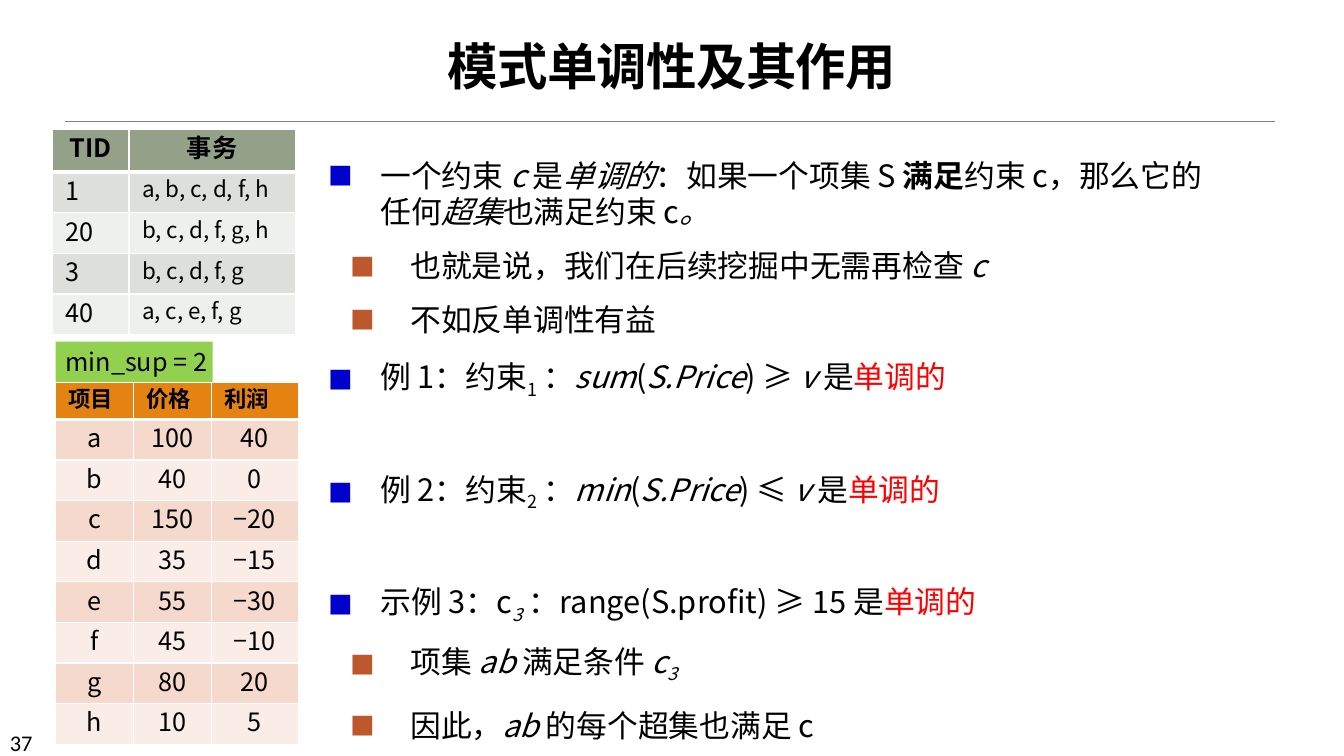
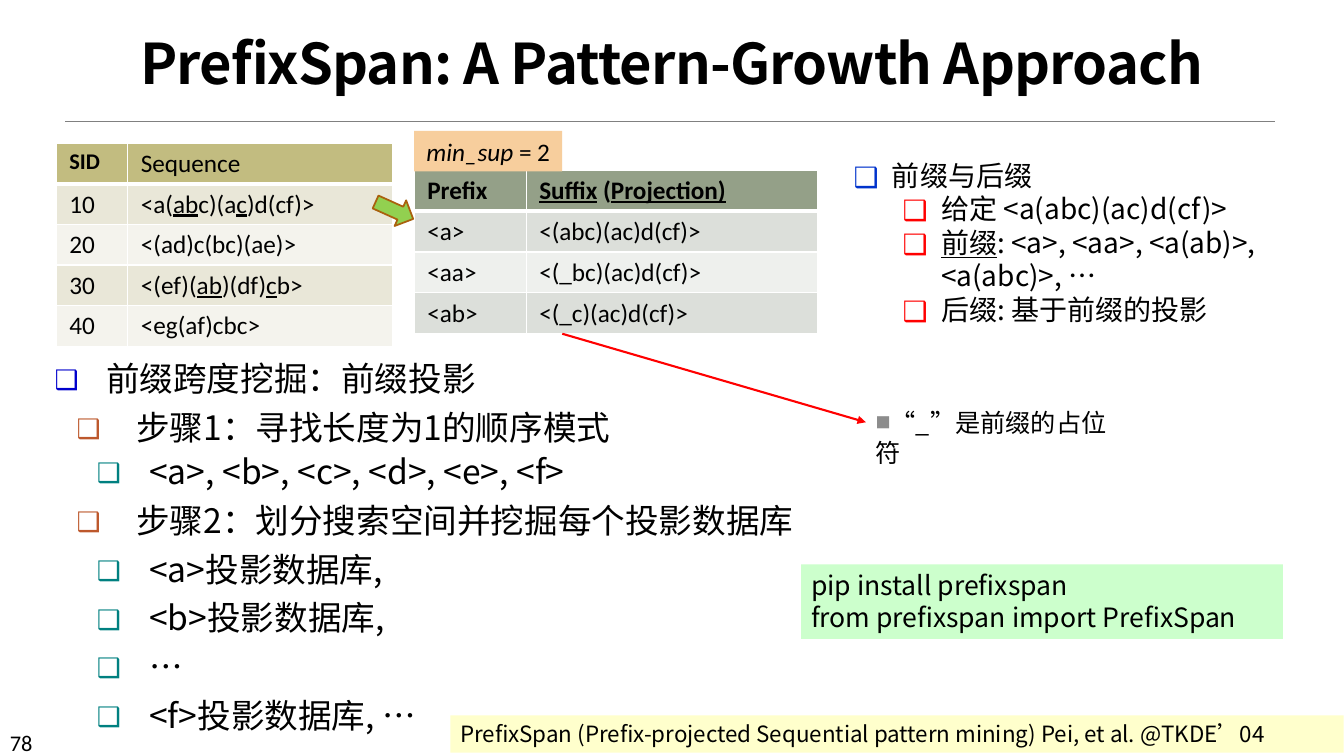
"""Two lecture slides on monotone constraints and prefix-projected pattern mining."""
from dataclasses import dataclass
from typing import Optional, Union

from lxml import etree
from pptx import Presentation
from pptx.dml.color import RGBColor
from pptx.enum.shapes import MSO_CONNECTOR, MSO_SHAPE
from pptx.enum.text import MSO_ANCHOR, MSO_AUTO_SIZE, PP_ALIGN
from pptx.oxml.ns import qn
from pptx.util import Cm, Pt

STRAIGHT = MSO_CONNECTOR.STRAIGHT
RIGHT_ARROW = MSO_SHAPE.RIGHT_ARROW
TOP, BOTTOM = MSO_ANCHOR.TOP, MSO_ANCHOR.BOTTOM
FIXED = MSO_AUTO_SIZE.NONE
LEFT, CENTER, JUSTIFY = PP_ALIGN.LEFT, PP_ALIGN.CENTER, PP_ALIGN.JUSTIFY

BLACK = RGBColor(0x00, 0x00, 0x00)
WHITE = RGBColor(0xFF, 0xFF, 0xFF)
RED = RGBColor(0xFF, 0x00, 0x00)
RULE_GREY = RGBColor(0x80, 0x80, 0x80)
NOTE_GREY = RGBColor(0x8C, 0x8C, 0x8C)
BLUE = RGBColor(0x00, 0x00, 0xCC)
ROYAL = RGBColor(0x00, 0x33, 0xCC)
RUST = RGBColor(0xBD, 0x58, 0x2C)
TEAL = RGBColor(0x00, 0x80, 0x80)
GREEN = RGBColor(0x92, 0xD0, 0x50)
ARROW_EDGE = RGBColor(0xA9, 0x61, 0x0D)
PEACH = RGBColor(0xF7, 0xCE, 0x9D)
MINT = RGBColor(0xCC, 0xFF, 0xCC)
CREAM = RGBColor(0xFF, 0xFF, 0xCC)
SAGE = RGBColor(0x94, 0xA0, 0x88)
SAGE_BANDS = (RGBColor(0xDC, 0xDF, 0xDA), RGBColor(0xEE, 0xF0, 0xED))
ORANGE = RGBColor(0xE4, 0x83, 0x12)
ORANGE_BANDS = (RGBColor(0xF5, 0xD9, 0xCC), RGBColor(0xFA, 0xED, 0xE7))
KHAKI = RGBColor(0xC2, 0xBC, 0x80)
KHAKI_BANDS = (RGBColor(0xE9, 0xE7, 0xD8), RGBColor(0xF4, 0xF3, 0xED))

SANS, CALIBRI, TIMES = "Noto Sans CJK SC", "Calibri", "Times New Roman"
LINE_FACTOR = 1.2


@dataclass(frozen=True)
class Run:
    """A stretch of text with one look."""
    text: str
    italic: bool = False
    bold: bool = False
    underline: bool = False
    subscript: bool = False
    color: RGBColor = BLACK
    font: Optional[str] = None
    size: Optional[float] = None


@dataclass(frozen=True)
class Bullet:
    """A list marker with its level and indents in centimetres."""
    char: str
    color: RGBColor
    level: int = 0
    margin: float = 0
    hanging: float = 0
    percent: int = 80


@dataclass(frozen=True)
class Para:
    """A paragraph with its runs and spacing in points."""
    runs: tuple[Run, ...]
    bullet: Optional[Bullet] = None
    before: float = 0
    after: float = 0
    align: PP_ALIGN = LEFT


@dataclass(frozen=True)
class Box:
    """A rectangle in centimetres."""
    left: float
    top: float
    width: float
    height: float

    def lengths(self) -> tuple[Cm, Cm, Cm, Cm]:
        """Return the four lengths in the order that shapes take them."""
        return Cm(self.left), Cm(self.top), Cm(self.width), Cm(self.height)


Cell = Union[str, tuple[Run, ...]]


@dataclass(frozen=True)
class Grid:
    """A table with a header row and two alternating bands."""
    left: float
    top: float
    widths: tuple[float, ...]
    header_height: float
    row_height: float
    header_fill: RGBColor
    bands: tuple[RGBColor, RGBColor]
    rows: tuple[tuple[Cell, ...], ...]
    font: str
    header_size: float
    sizes: tuple[float, ...]
    header_align: PP_ALIGN = LEFT
    align: PP_ALIGN = LEFT


def line(*runs: Union[str, Run], **options) -> Para:
    """Build a paragraph from plain strings and runs."""
    return Para(tuple(Run(r) if isinstance(r, str) else r for r in runs), **options)


def add_run(paragraph, run: Run, font: str, size: float) -> None:
    """Append one formatted run."""
    added = paragraph.add_run()
    added.text = run.text
    added.font.size = Pt(run.size or size)
    added.font.name = run.font or font
    added.font.bold = run.bold
    added.font.italic = run.italic
    added.font.underline = run.underline
    added.font.color.rgb = run.color
    properties = added.font._element
    etree.SubElement(properties, qn("a:ea")).set("typeface", SANS)
    if run.subscript:
        properties.set("baseline", "-25000")


def add_bullet(paragraph, bullet: Bullet) -> None:
    """Give a paragraph its marker and indents."""
    paragraph.level = bullet.level
    properties = paragraph._p.get_or_add_pPr()
    properties.set("marL", str(Cm(bullet.margin)))
    properties.set("indent", str(-Cm(bullet.hanging)))
    color = etree.SubElement(properties, qn("a:buClr"))
    etree.SubElement(color, qn("a:srgbClr")).set("val", str(bullet.color))
    etree.SubElement(properties, qn("a:buSzPct")).set("val", str(bullet.percent * 1000))
    etree.SubElement(properties, qn("a:buFont")).set("typeface", SANS)
    etree.SubElement(properties, qn("a:buChar")).set("char", bullet.char)


def fill_text(frame, paras: tuple[Para, ...], size: float, font: str = SANS) -> None:
    """Write paragraphs into an empty text frame."""
    for index, para in enumerate(paras):
        paragraph = frame.add_paragraph() if index else frame.paragraphs[0]
        if para.bullet:
            add_bullet(paragraph, para.bullet)
        paragraph.alignment = para.align
        paragraph.space_before = Pt(para.before if index else 0)
        paragraph.space_after = Pt(para.after)
        if font != CALIBRI:
            paragraph.line_spacing = Pt(round(size * LINE_FACTOR, 1))
        for run in para.runs:
            add_run(paragraph, run, font, size)


def add_label(slide, box: Box, paras: tuple[Para, ...], size: float,
              font: str = SANS, fill: Optional[RGBColor] = None):
    """Draw a wrapped text box, filled if a colour is given."""
    label = slide.shapes.add_textbox(*box.lengths())
    label.text_frame.word_wrap = True
    if fill is not None:
        label.fill.solid()
        label.fill.fore_color.rgb = fill
    fill_text(label.text_frame, paras, size, font)
    return label


def add_line(slide, start: tuple[float, float], end: tuple[float, float],
             color: RGBColor, width: float):
    """Draw a straight line without a shadow."""
    connector = slide.shapes.add_connector(STRAIGHT, *map(Cm, start + end))
    connector.line.color.rgb = color
    connector.line.width = Pt(width)
    etree.SubElement(connector._element.spPr, qn("a:effectLst"))
    return connector


def set_borders(cell, bottom: float) -> None:
    """Give a cell white borders, the lower one of its own width."""
    properties = cell._tc.get_or_add_tcPr()
    widths = {"lnL": 1, "lnR": 1, "lnT": 1, "lnB": bottom}
    for position, (side, width) in enumerate(widths.items()):
        border = etree.Element(qn(f"a:{side}"), w=str(Pt(width)))
        solid = etree.SubElement(border, qn("a:solidFill"))
        etree.SubElement(solid, qn("a:srgbClr")).set("val", str(WHITE))
        properties.insert(position, border)


def add_grid(slide, grid: Grid) -> None:
    """Draw a banded table."""
    heights = [grid.header_height] + [grid.row_height] * (len(grid.rows) - 1)
    box = Box(grid.left, grid.top, sum(grid.widths), sum(heights))
    table = slide.shapes.add_table(len(heights), len(grid.widths), *box.lengths()).table
    for column, width in zip(table.columns, grid.widths):
        column.width = Cm(width)
    for row, (height, contents) in enumerate(zip(heights, grid.rows)):
        table.rows[row].height = Cm(height)
        header = row == 0
        for column, content in enumerate(contents):
            cell = table.cell(row, column)
            cell.margin_left = cell.margin_right = Cm(0.33)
            cell.margin_top = cell.margin_bottom = Cm(0.13)
            cell.fill.solid()
            cell.fill.fore_color.rgb = grid.header_fill if header else grid.bands[(row - 1) % 2]
            set_borders(cell, 3 if header else 1)
            runs = (Run(content, bold=header),) if isinstance(content, str) else content
            para = Para(runs, align=grid.header_align if header else grid.align)
            size = grid.header_size if header else grid.sizes[column]
            fill_text(cell.text_frame, (para,), size, grid.font)


def add_slide(deck, title: str, title_size: float, number: int,
              body_box: Box, body: tuple[Para, ...], body_size: float):
    """Start a slide with its title, rule, page number and main list."""
    slide = deck.slides.add_slide(deck.slide_layouts[1])
    heading, main_list = slide.placeholders
    places = ((heading, Box(0.56, 0.43, 32.74, 2.11), BOTTOM), (main_list, body_box, TOP))
    for holder, box, anchor in places:
        holder.left, holder.top, holder.width, holder.height = box.lengths()
        holder.text_frame.auto_size = FIXED
        holder.text_frame.vertical_anchor = anchor
    fill_text(heading.text_frame, (line(Run(title, bold=True), align=CENTER),), title_size)
    heading_line = heading.text_frame.paragraphs[0]
    heading_line.line_spacing = 0.85
    heading_line.runs[0].font._element.set("spc", "-50")
    fill_text(main_list.text_frame, body, body_size)
    add_line(slide, (1.65, 3.05), (32.13, 3.05), RULE_GREY, 0.5)
    add_label(slide, Box(0, 18.24, 2.97, 0.76), (line(str(number)),), 16, CALIBRI)
    return slide


def build_monotonicity(deck) -> None:
    """Build the slide on monotone constraints."""
    point = Bullet("■", BLUE, 0, 1.3, 1.3)
    detail = Bullet("■", RUST, 1, 2.06, 1.5)
    monotone = Run("单调的", color=RED)
    price, variable = Run("S.Price", italic=True), Run("v ", italic=True)
    pair = Run("ab", italic=True)
    three = Run("3", italic=True, subscript=True)
    body = (
        line("一个约束 ", Run("c ", italic=True), "是", Run("单调的", italic=True),
             "：如果一个项集 S ", Run("满足", bold=True), "约束 c，那么它的任何",
             Run("超集", italic=True), "也满足约束 c", Run("。", italic=True),
             bullet=point, after=6),
        line("也就是说，我们在后续挖掘中无需再检查 ", Run("c", italic=True),
             bullet=detail, before=6, after=6),
        line("不如反单调性有益", bullet=detail, before=6, after=12),
        *(line(f"例 {index}：约束", Run(str(index), subscript=True), " ：",
               Run(function, italic=True), "(", price, f") {sign} ", variable, "是", monotone,
               bullet=point, before=before, after=6)
          for index, function, sign, before in ((1, "sum", "≥", 6), (2, "min", "≤", 48))),
        line("示例 3：c", three, " ：range(S.profit) ≥ 15 是", monotone,
             bullet=point, before=48, after=6),
        line("项集 ", pair, " 满足条件 ", Run("c", italic=True), three,
             bullet=detail, before=10, after=6),
        line("因此，", pair, " 的每个超集也满足 c", bullet=detail, before=10, after=6),
    )
    slide = add_slide(deck, "模式单调性及其作用", 36, 37, Box(8.03, 3.81, 22.73, 15), body, 22)
    support = add_label(slide, Box(1.4, 8.61, 3.96, 1.02), (line("min_sup = 2"),), 18, fill=GREEN)
    support.text_frame.margin_right = 0
    add_grid(slide, Grid(
        1.32, 3.25, (1.93, 4.19), 1.09, 1.02, SAGE, SAGE_BANDS,
        (("TID", "事务"), ("1", "a, b, c, d, f, h"), ("20", "b, c, d, f, g, h"),
         ("3", "b, c, d, f, g"), ("40", "a, c, e, f, g")),
        SANS, 18, (18, 16), header_align=CENTER))
    add_grid(slide, Grid(
        1.4, 9.63, (1.96, 1.96, 2.21), 0.94, 1.02, ORANGE, ORANGE_BANDS,
        (("项目", "价格", "利润"), ("a", "100", "40"), ("b", "40", "0"),
         ("c", "150", "−20"), ("d", "35", "−15"), ("e", "55", "−30"),
         ("f", "45", "−10"), ("g", "80", "20"), ("h", "10", "5")),
        SANS, 16, (18, 18, 18), align=CENTER))


def build_prefix_span(deck) -> None:
    """Build the slide on prefix projection."""
    topic = Bullet("❑", BLUE, 0, 1.3, 1.3)
    step = Bullet("❑", RUST, 1, 2.06, 1.5)
    result = Bullet("❑", TEAL, 2, 2.39, 1.32)
    body = (
        line("前缀跨度挖掘：前缀投影", bullet=topic),
        line("步骤1：寻找长度为1的顺序模式", bullet=step, before=6),
        line("<a>, <b>, <c>, <d>, <e>, <f>", bullet=result, before=3),
        line("步骤2：划分搜索空间并挖掘每个投影数据库", bullet=step, before=6),
        *(line(text, bullet=result, before=6)
          for text in ("<a>投影数据库,", "<b>投影数据库,", "…", "<f>投影数据库, …")),
    )
    slide = add_slide(deck, "PrefixSpan: A Pattern-Growth Approach", 40, 78,
                      Box(1.12, 8.89, 23.42, 9.6), body, 24)
    ab, c = Run("ab", underline=True), Run("c", underline=True)
    add_grid(slide, Grid(
        1.42, 3.61, (1.8, 6.68), 1.02, 1.02, KHAKI, KHAKI_BANDS,
        (((Run("SID", bold=True, size=16),), (Run("Sequence"),)),
         ("10", (Run("<a("), ab, Run("c)(a"), c, Run(")d(cf)>"))),
         ("20", "<(ad)c(bc)(ae)>"),
         ("30", (Run("<(ef)("), ab, Run(")(df)"), c, Run("b>"))),
         ("40", "<eg(af)cbc>")),
        CALIBRI, 18, (18, 18)))
    add_grid(slide, Grid(
        10.44, 4.29, (2.82, 7.34), 1.03, 1.03, SAGE, SAGE_BANDS,
        (("Prefix", (Run("Suffix", bold=True, underline=True), Run(" (", bold=True),
                     Run("Projection)", bold=True, underline=True))),
         ("<a>", "<(abc)(ac)d(cf)>"), ("<aa>", "<(_bc)(ac)d(cf)>"), ("<ab>", "<(_c)(ac)d(cf)>")),
        CALIBRI, 18, (18, 18)))
    add_label(slide, Box(11.35, 18.03, 22.51, 0.94), (line(
        "PrefixSpan (Prefix-projected Sequential pattern mining) Pei, et al. @TKDE’04",
        align=JUSTIFY, after=6),), 16, fill=CREAM)
    projection = slide.shapes.add_shape(RIGHT_ARROW, *Box(9.42, 4.95, 1.04, 0.71).lengths())
    projection.rotation = 24.2
    projection.shadow.inherit = False
    projection.fill.solid()
    projection.fill.fore_color.rgb = GREEN
    projection.line.color.rgb = ARROW_EDGE
    projection.line.width = Pt(1.25)
    add_label(slide, Box(10.44, 3.3, 3.73, 1.02),
              (line(Run("min_sup ", italic=True), "= 2", align=CENTER),), 18, CALIBRI, PEACH)
    placeholder_note = add_label(slide, Box(21.82, 10.13, 6.88, 1.02), (line(
        "“_”", Run("是前缀的占位符", font=TIMES), bullet=Bullet("■", NOTE_GREY, percent=60)),), 18)
    pointer = add_line(slide, (14.17, 8.41), (21.82, 10.64), RED, 1.5)
    pointer.end_connect(placeholder_note, 1)
    etree.SubElement(pointer.line._get_or_add_ln(), qn("a:tailEnd")).set("type", "triangle")
    concept = Bullet("❑", ROYAL, 0, 0.97, 0.97, 100)
    example = Bullet("❑", RED, 1, 2.21, 0.97, 100)
    add_label(slide, Box(21.26, 3.86, 11.48, 4.52), (
        line("前缀与后缀", bullet=concept),
        line("给定", Run(" <a(abc)(ac)d(cf)>", font=SANS), bullet=example),
        line(Run("前缀", underline=True), Run(": <a>, <aa>, <a(ab)>, <a(abc)>, …", font=SANS),
             bullet=example),
        line("后缀", Run(": ", font=SANS), "基于前缀的投影", bullet=example)), 20, TIMES)
    add_label(slide, Box(20.19, 14.22, 12.14, 1.88), (
        line("pip install prefixspan"), line("from prefixspan import PrefixSpan")), 19, fill=MINT)


def main() -> None:
    """Build and save the deck."""
    deck = Presentation()
    deck.slide_width, deck.slide_height = Cm(33.87), Cm(19.05)
    build_monotonicity(deck)
    build_prefix_span(deck)
    deck.save("out.pptx")


if __name__ == "__main__":
    main()
